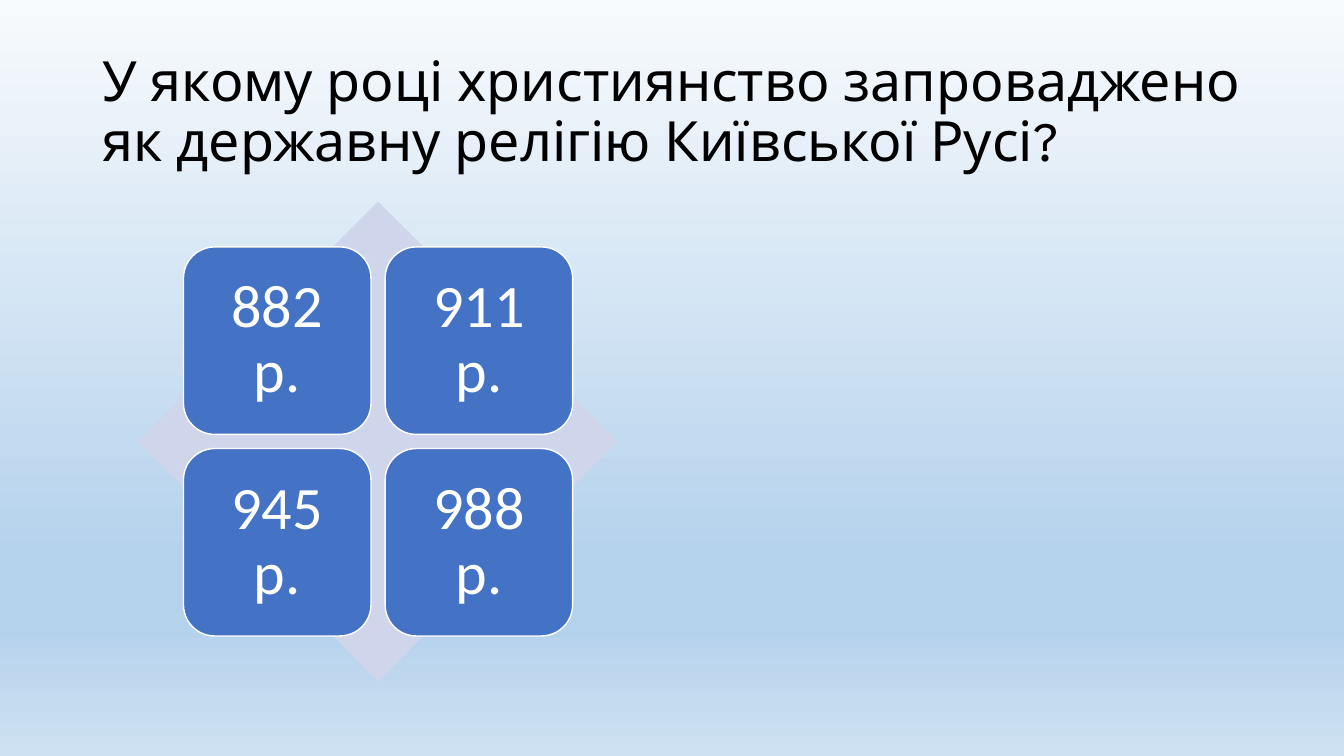
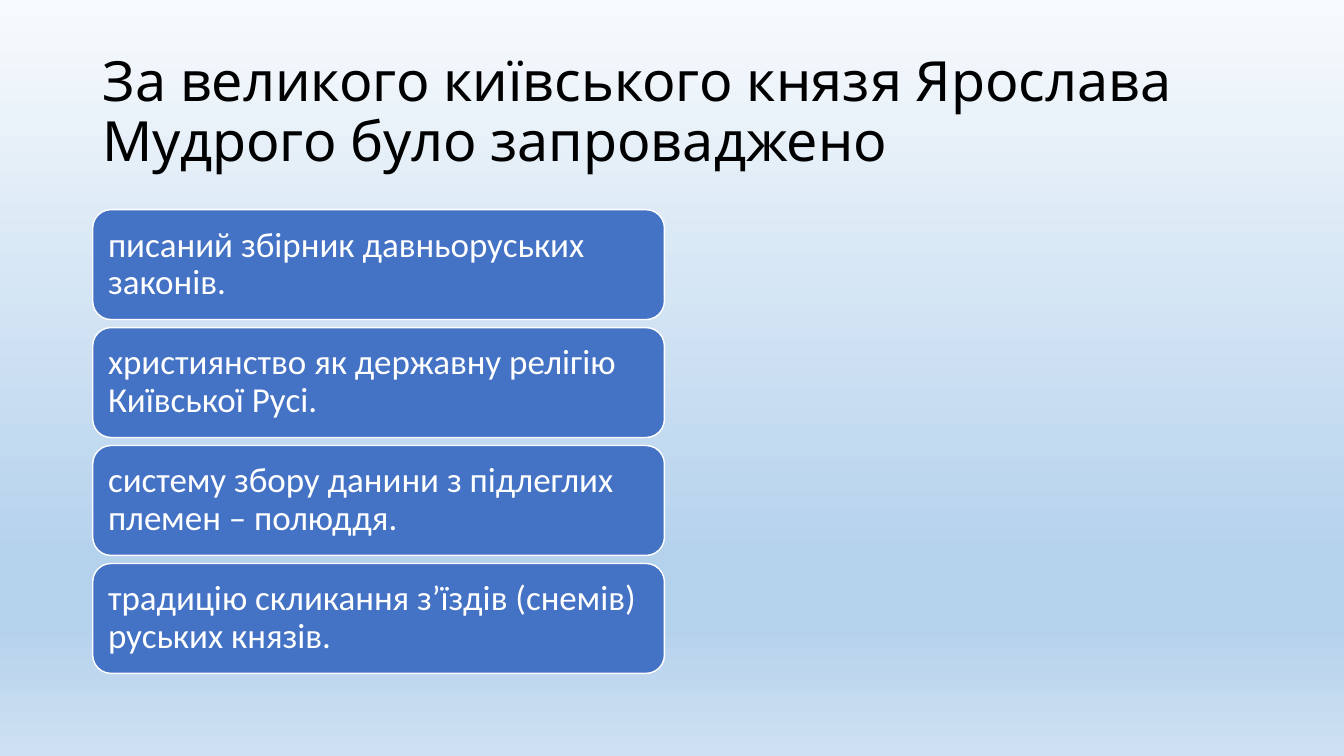
from dataclasses import dataclass
from itertools import product

from lxml import etree
from pptx import Presentation
from pptx.dml.color import RGBColor
from pptx.enum import shapes, text
from pptx.oxml.ns import qn
from pptx.util import Inches, Pt


@dataclass(frozen=True)
class Theme:
    """Colours, fonts and type sizes shared by the slides."""
    ink: str = "000000"
    light: str = "FFFFFF"
    accent: str = "4472C4"
    pale: str = "CFD5EA"
    sky: tuple = ((0, "F7FAFD"), (74, "B5D2EC"), (83, "B5D2EC"), (100, "CEE1F2"))
    title_font: str = "League Spartan"
    body_font: str = "Calibri"
    title_size: float = 39.6
    year_size: float = 43
    answer_size: float = 25


THEME = Theme()


def paint_background(master):
    """Give the master a vertical gradient."""
    fill = master.background.fill
    fill.gradient()
    fill.gradient_angle = 270
    stops = master.element.find(".//" + qn("a:gsLst"))
    for stop in list(stops):
        stops.remove(stop)
    for position, colour in THEME.sky:
        stop = etree.SubElement(stops, qn("a:gs"), pos=str(position * 1000))
        etree.SubElement(stop, qn("a:srgbClr"), val=colour)


def write(sp, content, font, size, colour, align, inset=None):
    """Put one vertically centred paragraph in a shape."""
    tf = sp.text_frame
    tf.word_wrap = True
    tf.vertical_anchor = text.MSO_ANCHOR.MIDDLE
    if inset is not None:
        tf.margin_left = tf.margin_right = Inches(inset)
        tf.margin_top = tf.margin_bottom = Inches(inset)
    p = tf.paragraphs[0]
    p.text = content
    p.alignment = align
    p.line_spacing = 0.9
    p.font.name = font
    p.font.size = Pt(size)
    p.font.color.rgb = RGBColor.from_string(colour)


def add_question(prs, question):
    """Add a slide headed by a question."""
    s = prs.slides.add_slide(prs.slide_layouts[6])
    sp = s.shapes.add_textbox(Inches(0.92), Inches(0.4), Inches(11.5), Inches(1.45))
    write(sp, question, THEME.title_font, THEME.title_size, THEME.ink, text.PP_ALIGN.LEFT)
    return s


def add_panel(s, kind, left, top, width, height, fill, line=None):
    """Add a flat filled shape with an optional outline."""
    sp = s.shapes.add_shape(kind, Inches(left), Inches(top), Inches(width), Inches(height))
    sp.shadow.inherit = False
    sp.fill.solid()
    sp.fill.fore_color.rgb = RGBColor.from_string(fill)
    if line:
        sp.line.color.rgb = RGBColor.from_string(line)
        sp.line.width = Pt(1)
    else:
        sp.line.fill.background()
    return sp


def add_answer(s, content, left, top, width, height, size, align, inset):
    """Add a rounded answer box."""
    sp = add_panel(s, shapes.MSO_SHAPE.ROUNDED_RECTANGLE, left, top, width, height,
                   THEME.accent, THEME.light)
    write(sp, content, THEME.body_font, size, THEME.light, align, inset)


def add_year_matrix(s, years):
    """Arrange four years two by two over a diamond."""
    add_panel(s, shapes.MSO_SHAPE.DIAMOND, 1.37, 2, 4.76, 4.76, THEME.pale)
    for year, (row, column) in zip(years, product(range(2), repeat=2)):
        add_answer(s, year, 1.82 + 2 * column, 2.45 + 2 * row, 1.86, 1.86,
                   THEME.year_size, text.PP_ALIGN.CENTER, 0.18)


def add_answer_list(s, answers):
    """Stack the answers at equal steps."""
    for row, answer in enumerate(answers):
        add_answer(s, answer, 0.92, 2.08 + 1.17 * row, 5.67, 1.09,
                   THEME.answer_size, text.PP_ALIGN.LEFT, 0.1)


def main():
    """Build and save the quiz."""
    prs = Presentation()
    prs.slide_width, prs.slide_height = Inches(13.33), Inches(7.5)
    paint_background(prs.slide_master)

    s = add_question(prs, "У якому році християнство запроваджено як державну релігію Київської Русі?")
    add_year_matrix(s, ["882 р.", "911 р.", "945 р.", "988 р."])

    s = add_question(prs, "За великого київського князя Ярослава Мудрого було запроваджено")
    add_answer_list(s, [
        "писаний збірник давньоруських законів.",
        "християнство як державну релігію Київської Русі.",
        "систему збору данини з підлеглих племен – полюддя.",
        "традицію скликання з’їздів (снемів) руських князів.",
    ])
    prs.save("out.pptx")


if __name__ == "__main__":
    main()
